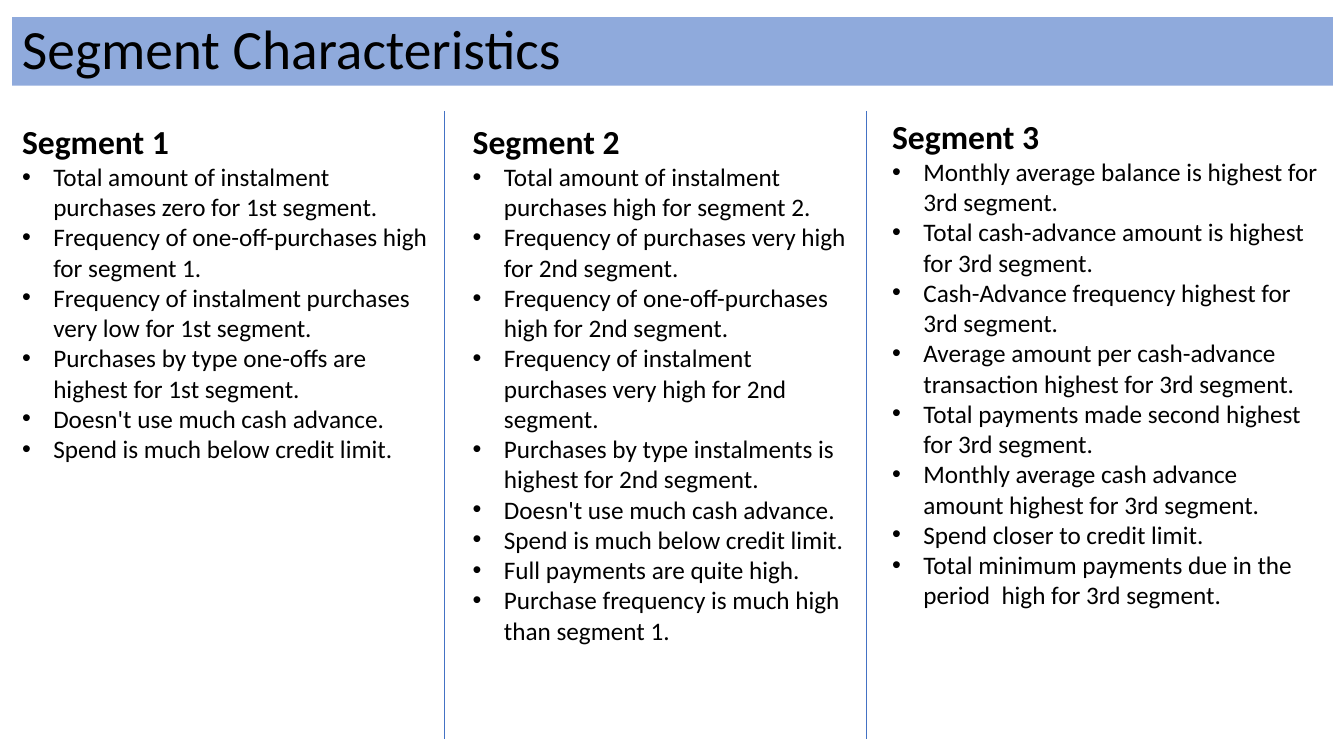
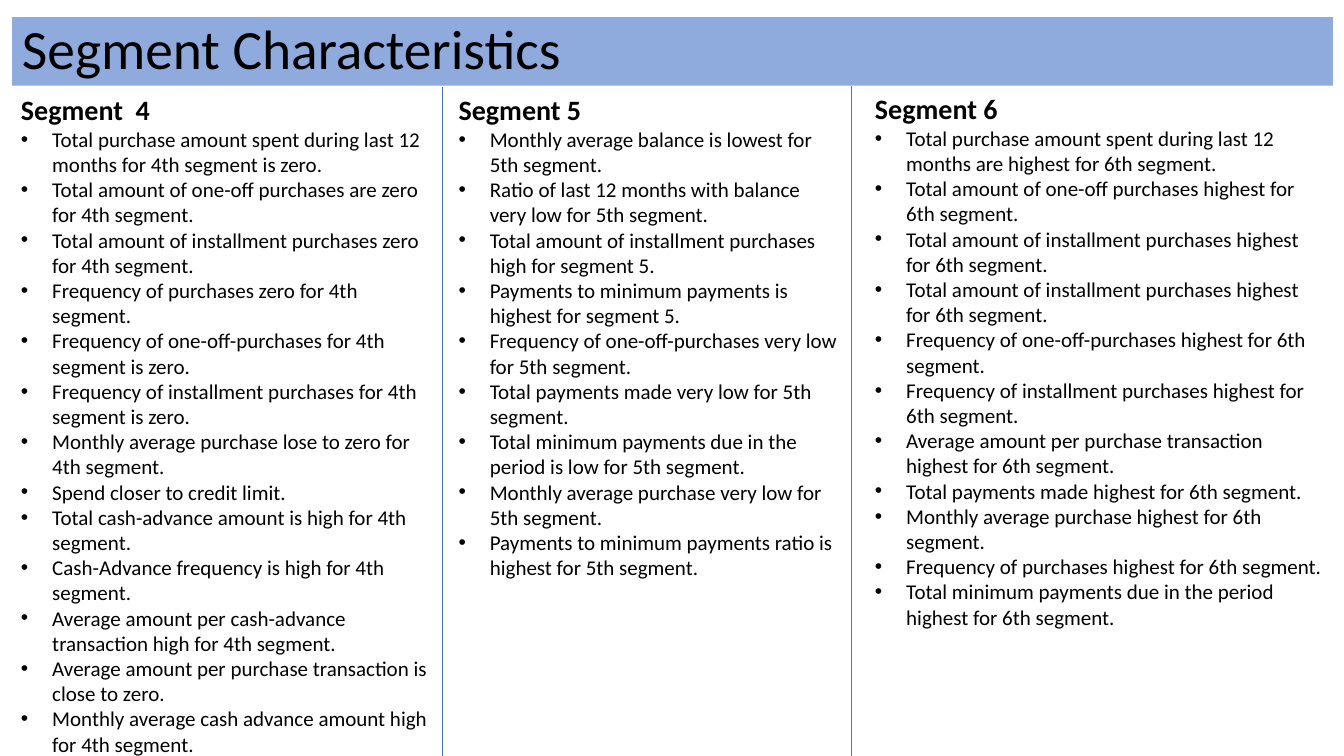
import pptx
import pptx.dml.color
import pptx.enum.shapes
import pptx.enum.text
import pptx.oxml.ns
import pptx.util
from lxml import etree

Inches = pptx.util.Inches
FONT = "Calibri"
BLACK, BAND, RULE = "000000", "8FAADC", "4472C4"
TITLE_BOX = (0.12, 0.17, 13.1, 0.68)
INDENT = 0.31

SLIDES = [
    {
        "title": "Segment Characteristics",
        "sizes": (24, 18),
        "rules": [(4.41, 1.1, 7.33), (8.59, 1.1, 7.33)],
        "columns": [
            ((0.12, 1.15, 4.29, 3.53), "Segment 1", [
                "Total amount of instalment purchases zero for 1st segment.",
                "Frequency of one-off-purchases high for segment 1.",
                "Frequency of instalment purchases very low for 1st segment.",
                "Purchases by type one-offs are highest for 1st segment.",
                "Doesn't use much cash advance.",
                "Spend is much below credit limit.",
            ]),
            ((4.59, 1.15, 3.97, 5.35), "Segment 2", [
                "Total amount of instalment purchases high for segment 2.",
                "Frequency of purchases very high for 2nd segment.",
                "Frequency of one-off-purchases high for 2nd segment.",
                "Frequency of instalment purchases very high for 2nd segment.",
                "Purchases by type instalments is highest for 2nd segment.",
                "Doesn't use much cash advance.",
                "Spend is much below credit limit.",
                "Full payments are quite high.",
                "Purchase frequency is much high than segment 1.",
            ]),
            ((8.75, 1.1, 4.46, 5.05), "Segment 3", [
                "Monthly average balance is highest for 3rd segment.",
                "Total cash-advance amount is highest for 3rd segment.",
                "Cash-Advance frequency highest for 3rd segment.",
                "Average amount per cash-advance transaction highest for 3rd segment.",
                "Total payments made second highest for 3rd segment.",
                "Monthly average cash advance amount highest for 3rd segment.",
                "Spend closer to credit limit.",
                "Total minimum payments due in the period  high for 3rd segment.",
            ]),
        ],
    },
    {
        "title": "Segment Characteristics",
        "sizes": (20, 15),
        "rules": [(4.39, 0.86, 7.5), (8.44, 0.85, 7.5)],
        "columns": [
            ((0.11, 0.87, 4.29, 6.75), "Segment  4", [
                "Total purchase amount spent during last 12 months for 4th segment is zero.",
                "Total amount of one-off purchases are zero for 4th segment.",
                "Total amount of installment purchases zero for 4th segment.",
                "Frequency of purchases zero for 4th segment.",
                "Frequency of one-off-purchases for 4th segment is zero.",
                "Frequency of installment purchases for 4th segment is zero.",
                "Monthly average purchase lose to zero for 4th segment.",
                "Spend closer to credit limit.",
                "Total cash-advance amount is high for 4th segment.",
                "Cash-Advance frequency is high for 4th segment.",
                "Average amount per cash-advance transaction high for 4th segment.",
                "Average amount per purchase transaction is close to zero.",
                "Monthly average cash advance amount high for 4th segment.",
            ]),
            ((4.45, 0.87, 3.97, 4.98), "Segment 5", [
                "Monthly average balance is lowest for 5th segment.",
                "Ratio of last 12 months with balance very low for 5th segment.",
                "Total amount of installment purchases high for segment 5.",
                "Payments to minimum payments is highest for segment 5.",
                "Frequency of one-off-purchases very low for 5th segment.",
                "Total payments made very low for 5th segment.",
                "Total minimum payments due in the period is low for 5th segment.",
                "Monthly average purchase very low for 5th segment.",
                "Payments to minimum payments ratio is highest for 5th segment.",
            ]),
            ((8.58, 0.86, 4.64, 5.49), "Segment 6", [
                "Total purchase amount spent during last 12 months are highest for 6th segment.",
                "Total amount of one-off purchases highest for 6th segment.",
                "Total amount of installment purchases highest for 6th segment.",
                "Total amount of installment purchases highest for 6th segment.",
                "Frequency of one-off-purchases highest for 6th segment.",
                "Frequency of installment purchases highest for 6th segment.",
                "Average amount per purchase transaction highest for 6th segment.",
                "Total payments made highest for 6th segment.",
                "Monthly average purchase highest for 6th segment.",
                "Frequency of purchases highest for 6th segment.",
                "Total minimum payments due in the period highest for 6th segment.",
            ]),
        ],
    },
]


def paint(color, code):
    color.rgb = pptx.dml.color.RGBColor.from_string(code)


def add_run(para, text, size, bold=False):
    run = para.add_run()
    run.text = text
    run.font.name = FONT
    run.font.size = pptx.util.Pt(size)
    run.font.bold = bold
    paint(run.font.color, BLACK)


def add_bullet(para):
    """Give the paragraph a round bullet with a hanging indent."""
    props = para._p.get_or_add_pPr()
    props.set("marL", str(Inches(INDENT)))
    props.set("indent", str(-Inches(INDENT)))
    qn = pptx.oxml.ns.qn
    etree.SubElement(props, qn("a:buFont")).set("typeface", "Arial")
    etree.SubElement(props, qn("a:buChar")).set("char", "•")


def add_title(slide, box, text):
    band = slide.shapes.add_shape(
        pptx.enum.shapes.MSO_SHAPE.RECTANGLE, *map(Inches, box))
    band.shadow.inherit = False
    band.fill.solid()
    paint(band.fill.fore_color, BAND)
    band.line.fill.background()
    frame = band.text_frame
    frame.word_wrap = True
    frame.vertical_anchor = pptx.enum.text.MSO_ANCHOR.MIDDLE
    para = frame.paragraphs[0]
    para.alignment = pptx.enum.text.PP_ALIGN.LEFT
    para.line_spacing = 0.9
    add_run(para, text, 39.6)


def add_column(slide, box, head, points, sizes):
    frame = slide.shapes.add_textbox(*map(Inches, box)).text_frame
    frame.word_wrap = True
    frame.auto_size = pptx.enum.text.MSO_AUTO_SIZE.SHAPE_TO_FIT_TEXT
    head_size, point_size = sizes
    add_run(frame.paragraphs[0], head, head_size, bold=True)
    for point in points:
        para = frame.add_paragraph()
        add_bullet(para)
        add_run(para, point, point_size)


def add_rule(slide, left, top, bottom):
    rule = slide.shapes.add_connector(
        pptx.enum.shapes.MSO_CONNECTOR.STRAIGHT,
        *map(Inches, (left, top, left, bottom)))
    rule.line.width = pptx.util.Pt(0.5)
    paint(rule.line.color, RULE)
    etree.SubElement(rule._element.spPr, pptx.oxml.ns.qn("a:effectLst"))


def add_slide(deck, data):
    slide = deck.slides.add_slide(deck.slide_layouts[6])
    add_title(slide, TITLE_BOX, data["title"])
    for box, head, points in data["columns"]:
        add_column(slide, box, head, points, data["sizes"])
    for rule in data["rules"]:
        add_rule(slide, *rule)


def main():
    deck = pptx.Presentation()
    deck.slide_width = Inches(13.33)
    deck.slide_height = Inches(7.5)
    for data in SLIDES:
        add_slide(deck, data)
    deck.save("out.pptx")


if __name__ == "__main__":
    main()
